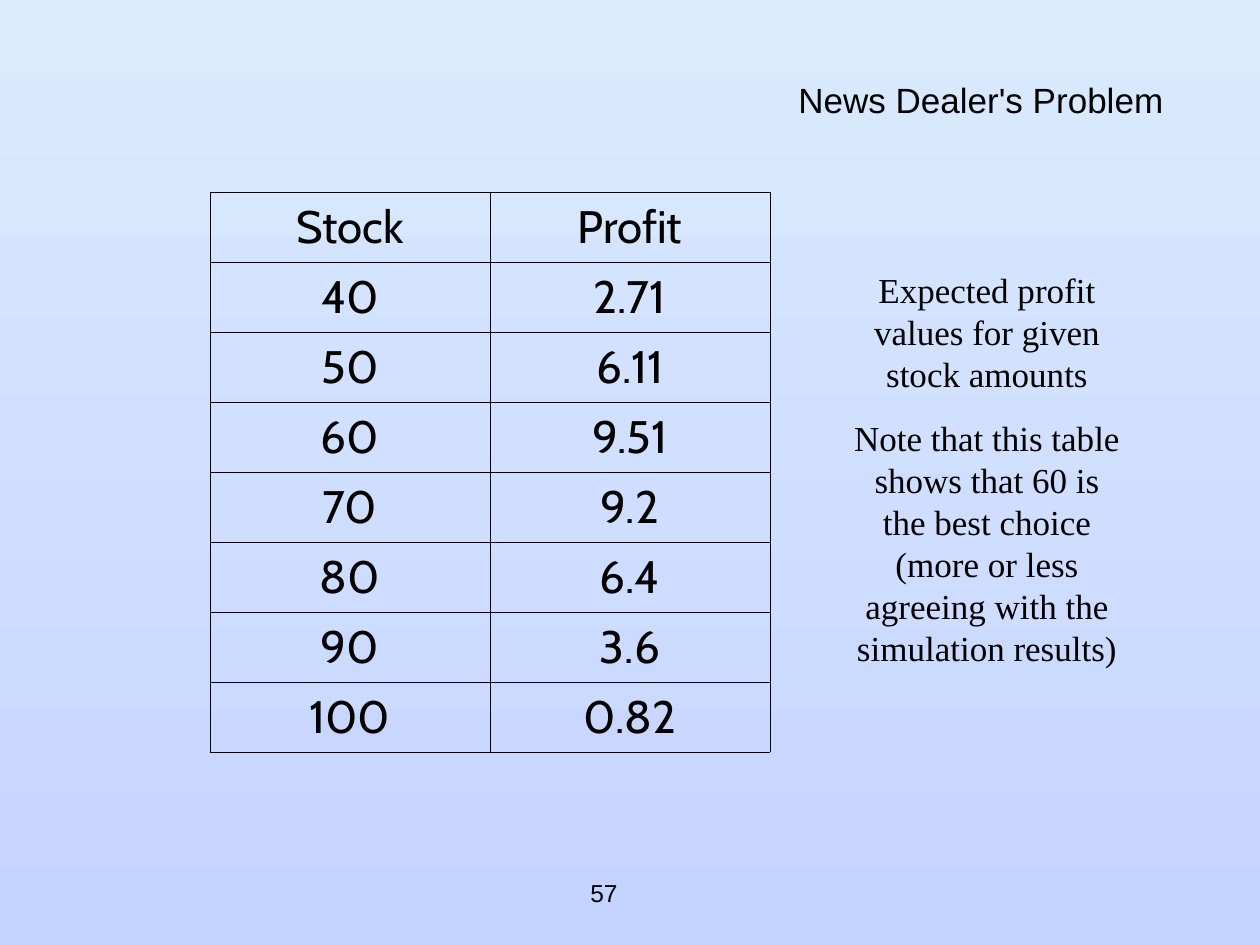
from dataclasses import dataclass

from lxml import etree
from pptx import Presentation
from pptx import util as u
from pptx.dml.color import RGBColor
from pptx.enum import text
from pptx.oxml import ns

PX = 914400 / 126


def px(length: int) -> u.Emu:
    return u.Emu(round(length * PX))


@dataclass(frozen=True)
class Theme:
    ink: str = "000000"
    sky_top: str = "DAEBFE"
    sky_bottom: str = "C5D3FF"
    sans: str = "Arial"
    serif: str = "Times New Roman"
    table_font: str = "Cabin"
    body_size: int = 20
    table_size: int = 26
    number_size: int = 14
    border_width: float = 0.45


THEME = Theme()


@dataclass(frozen=True)
class TextBlock:
    left: int
    top: int
    width: int
    height: int
    paragraphs: tuple[str, ...]
    font: str
    size: int
    align: text.PP_ALIGN = text.PP_ALIGN.CENTER
    anchor: text.MSO_ANCHOR = text.MSO_ANCHOR.MIDDLE
    wrap: bool = True
    line_spacing: float = 1.0
    gap: float = 0


@dataclass(frozen=True)
class Grid:
    left: int
    top: int
    column_width: int
    row_height: int
    rows: tuple[tuple[str, ...], ...]


TITLE = TextBlock(84, 84, 1092, 42, ("News Dealer's Problem",), THEME.sans,
                  THEME.body_size, align=text.PP_ALIGN.RIGHT, line_spacing=0.7)
NOTES = TextBlock(
    840, 262, 294, 413,
    ("Expected profit values for given stock amounts",
     "Note that this table shows that 60 is the best choice "
     "(more or less agreeing with the simulation results)"),
    THEME.serif, THEME.body_size, anchor=text.MSO_ANCHOR.TOP, gap=12.5)
PAGE_NUMBER = TextBlock(431, 861, 346, 63, ("57",), THEME.sans,
                        THEME.number_size, wrap=False)
PROFITS = Grid(210, 192, 280, 70, (
    ("Stock", "Profit"),
    ("40", "2.71"),
    ("50", "6.11"),
    ("60", "9.51"),
    ("70", "9.2"),
    ("80", "6.4"),
    ("90", "3.6"),
    ("100", "0.82"),
))


def style_paragraph(paragraph, font: str, size: int, align: text.PP_ALIGN) -> None:
    paragraph.alignment = align
    paragraph.font.name = font
    paragraph.font.size = u.Pt(size)
    paragraph.font.color.rgb = RGBColor.from_string(THEME.ink)


def paint_background(slide) -> None:
    fill = slide.background.fill
    fill.gradient()
    fill.gradient_angle = 270
    colors = (THEME.sky_top, THEME.sky_bottom)
    for stop, color, position in zip(fill.gradient_stops, colors, (0, 1)):
        stop.color.rgb = RGBColor.from_string(color)
        stop.position = position


def add_text(slide, block: TextBlock) -> None:
    shape = slide.shapes.add_textbox(
        px(block.left), px(block.top), px(block.width), px(block.height))
    frame = shape.text_frame
    frame.word_wrap = block.wrap
    frame.vertical_anchor = block.anchor
    for index, words in enumerate(block.paragraphs):
        paragraph = frame.add_paragraph() if index else frame.paragraphs[0]
        paragraph.text = words
        paragraph.line_spacing = block.line_spacing
        if index:
            paragraph.space_before = u.Pt(block.gap)
        style_paragraph(paragraph, block.font, block.size, block.align)


def outline_cell(cell) -> None:
    """Draw a thin line on all four sides; borders must precede the fill."""
    properties = cell._tc.get_or_add_tcPr()
    for index, side in enumerate(("lnL", "lnR", "lnT", "lnB")):
        line = etree.Element(ns.qn(f"a:{side}"), w=str(int(u.Pt(THEME.border_width))))
        solid = etree.SubElement(line, ns.qn("a:solidFill"))
        etree.SubElement(solid, ns.qn("a:srgbClr"), val=THEME.ink)
        properties.insert(index, line)


def add_grid(slide, grid: Grid) -> None:
    row_count, column_count = len(grid.rows), len(grid.rows[0])
    table = slide.shapes.add_table(
        row_count, column_count, px(grid.left), px(grid.top),
        px(grid.column_width * column_count), px(grid.row_height * row_count)).table
    table.first_row = False
    table.horz_banding = False
    for column in table.columns:
        column.width = px(grid.column_width)
    for row, values in zip(table.rows, grid.rows):
        row.height = px(grid.row_height)
        for cell, value in zip(row.cells, values):
            cell.text = value
            cell.vertical_anchor = text.MSO_ANCHOR.MIDDLE
            cell.fill.background()
            outline_cell(cell)
            style_paragraph(cell.text_frame.paragraphs[0], THEME.table_font,
                            THEME.table_size, text.PP_ALIGN.CENTER)


def main() -> None:
    presentation = Presentation()
    presentation.slide_width = px(1260)
    presentation.slide_height = px(945)
    slide = presentation.slides.add_slide(presentation.slide_layouts[6])
    paint_background(slide)
    add_text(slide, PAGE_NUMBER)
    add_text(slide, TITLE)
    add_grid(slide, PROFITS)
    add_text(slide, NOTES)
    presentation.save("out.pptx")


if __name__ == "__main__":
    main()
